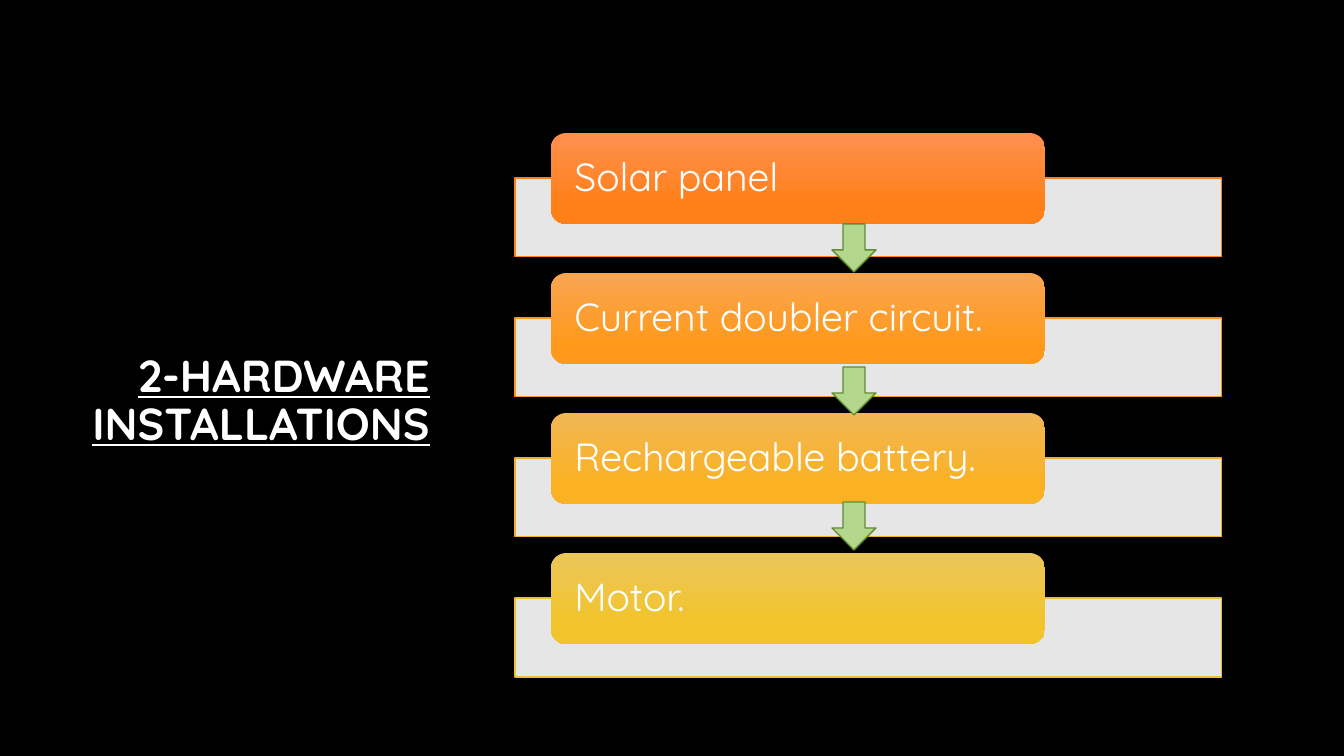
from dataclasses import dataclass

from lxml import etree
from pptx import Presentation
from pptx.dml.color import RGBColor
from pptx.enum.shapes import MSO_SHAPE as Shape
from pptx.enum.text import MSO_ANCHOR as Anchor, PP_ALIGN as Align
from pptx.oxml.ns import qn
from pptx.util import Emu, Pt

SLIDE_W, SLIDE_H = 1344, 756
EMU_PER_PX = 12192000 / SLIDE_W


@dataclass(frozen=True)
class Theme:
    font: str = "Quicksand"
    title_size: int = 32
    step_size: int = 28
    background: str = "000000"
    text: str = "FFFFFF"
    bar: str = "FFFFFF"
    bar_opacity: int = 90
    arrow_fill: str = "B3D78D"
    arrow_line: str = "618C32"


THEME = Theme()

# Label, bar outline, card gradient top and bottom
STEPS = [
    ("Solar panel", "FE801A", "FE904F", "FF8019"),
    ("Current doubler circuit.", "F79823", "F8A552", "FF991B"),
    ("Rechargeable battery.", "F0AD2C", "F1B755", "FAB122"),
    ("Motor.", "E9BF35", "EBC659", "F2C42C"),
]
# Distance from each card's bottom edge to the arrow below it
ARROW_GAPS = [0, 3, -2]


def px(length):
    return Emu(round(length * EMU_PER_PX))


def rgb(code):
    return RGBColor.from_string(code)


def add_block(slide, preset, box, fill=None, line=None, weight=0.75):
    block = slide.shapes.add_shape(preset, *map(px, box))
    block.shadow.inherit = False
    if fill:
        block.fill.solid()
        block.fill.fore_color.rgb = rgb(fill)
    if line:
        block.line.color.rgb = rgb(line)
        block.line.width = Pt(weight)
    else:
        block.line.fill.background()
    return block


def write(frame, wording, size, align, inset_x, inset_y, bold=False, underline=None):
    frame.word_wrap = True
    frame.vertical_anchor = Anchor.MIDDLE
    frame.margin_left = frame.margin_right = px(inset_x)
    frame.margin_top = frame.margin_bottom = px(inset_y)
    paragraph = frame.paragraphs[0]
    paragraph.alignment = align
    paragraph.line_spacing = 0.9
    run = paragraph.add_run()
    run.text = wording
    font = run.font
    font.name, font.size, font.bold = THEME.font, Pt(size), bold
    font.underline = underline
    font.color.rgb = rgb(THEME.text)


def add_title(slide, box):
    heading = slide.shapes.add_textbox(*map(px, box))
    write(heading.text_frame, "2-HARDWARE INSTALLATIONS", THEME.title_size,
          Align.RIGHT, 10, 5, bold=True, underline=True)


def add_step(slide, box, step):
    left, top, width, height = box
    label, outline, card_top, card_bottom = step

    # Translucent bar behind the card
    bar = add_block(slide, Shape.RECTANGLE, (left, top + 45, width, height - 45),
                    THEME.bar, outline)
    bar_color = bar.fill._xPr.find(qn("a:solidFill"))[0]
    etree.SubElement(bar_color, qn("a:alpha"), val=str(THEME.bar_opacity * 1000))

    # Gradient card with its label
    card = add_block(slide, Shape.ROUNDED_RECTANGLE,
                     (left + 36, top, width * 7 // 10, 91))
    card.fill.gradient()
    card.fill.gradient_angle = 270
    stops = zip(card.fill.gradient_stops, (0, 0.78), (card_top, card_bottom))
    for stop, position, color in stops:
        stop.position = position
        stop.color.rgb = rgb(color)
    write(card.text_frame, label, THEME.step_size, Align.LEFT, 19, 0)


def add_flow(slide, box):
    left, top, width, height = box
    step_height = 124
    pitch = (height - step_height) // (len(STEPS) - 1)
    for index, step in enumerate(STEPS):
        add_step(slide, (left, top + index * pitch, width, step_height), step)

    # Arrows from card to card
    for index, gap in enumerate(ARROW_GAPS):
        arrow_top = top + index * pitch + 91 + gap
        add_block(slide, Shape.DOWN_ARROW, (left + 317, arrow_top, 44, 48),
                  THEME.arrow_fill, THEME.arrow_line, weight=1)


def main():
    deck = Presentation()
    deck.slide_width, deck.slide_height = px(SLIDE_W), px(SLIDE_H)
    slide = deck.slides.add_slide(deck.slide_layouts[6])
    slide.background.fill.solid()
    slide.background.fill.fore_color.rgb = rgb(THEME.background)
    add_title(slide, (75, 118, 365, 568))
    add_flow(slide, (515, 133, 707, 544))
    deck.save("out.pptx")


if __name__ == "__main__":
    main()
